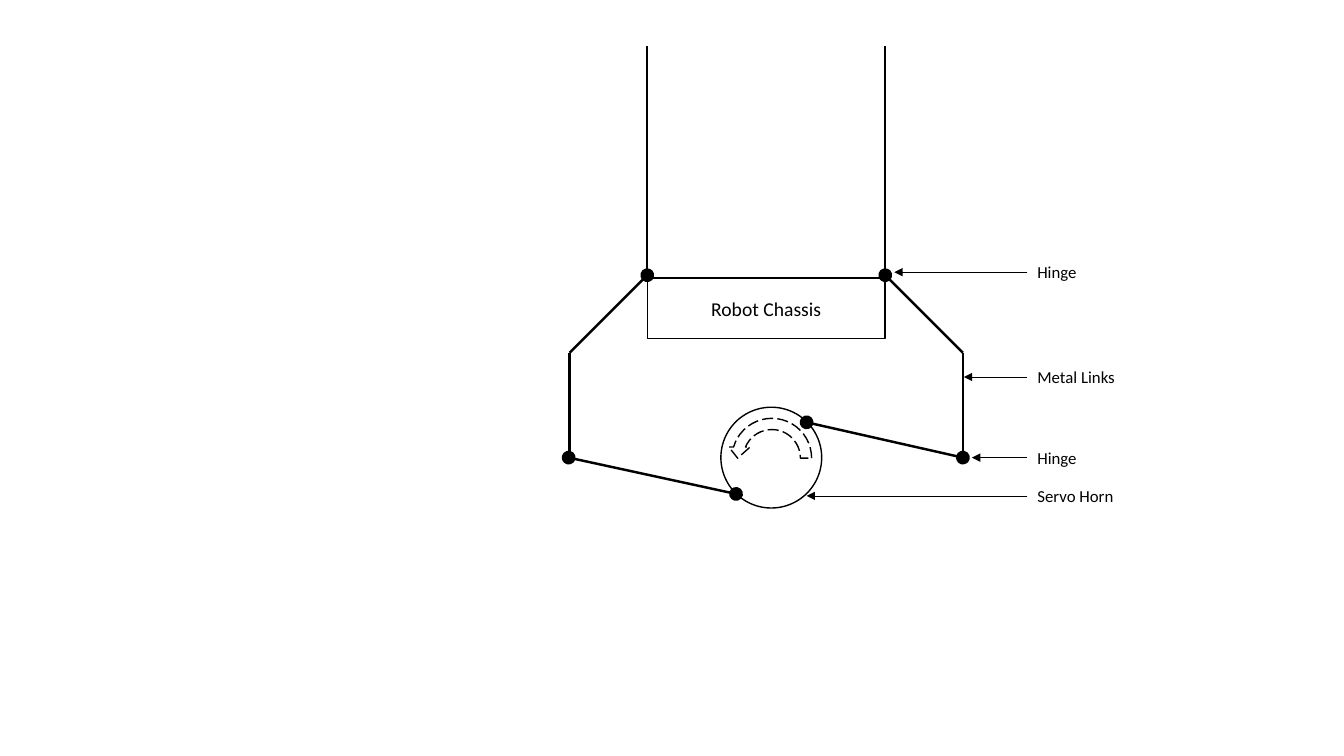
from pptx import Presentation
from pptx import util as u
from pptx.dml.color import RGBColor
from pptx.enum import dml, shapes, text
from pptx.oxml.ns import qn
from lxml import etree

PX = 9144
BLACK, WHITE = "000000", "FFFFFF"
CENTRE = 760
LABEL_X, LABEL_H = 1019, 30


def px(n):
    return u.Emu(n * PX)


def rgb(value):
    return RGBColor.from_string(value)


def write(sp, words, size=12, color=BLACK, align=text.PP_ALIGN.LEFT,
          anchor=text.MSO_ANCHOR.TOP):
    tf = sp.text_frame
    tf.word_wrap = True
    tf.vertical_anchor = anchor
    p = tf.paragraphs[0]
    p.alignment = align
    r = p.add_run()
    r.text = words
    r.font.size = u.Pt(size)
    r.font.name = "Calibri"
    r.font.color.rgb = rgb(color)


def add_part(s, kind, x, y, w, h):
    sp = s.shapes.add_shape(kind, px(x), px(y), px(w), px(h))
    sp.shadow.inherit = False
    sp.fill.solid()
    sp.fill.fore_color.rgb = rgb(WHITE)
    sp.line.color.rgb = rgb(BLACK)
    sp.line.width = u.Pt(1)
    return sp


def add_line(s, start, end, width=1.75, head=None, tail=None, size="lg"):
    line = s.shapes.add_connector(shapes.MSO_CONNECTOR.STRAIGHT,
                                  *map(px, start + end))
    line.line.color.rgb = rgb(BLACK)
    line.line.width = u.Pt(width)
    ln = line.line._get_or_add_ln()
    for tag, kind in (("a:headEnd", head), ("a:tailEnd", tail)):
        if kind:
            etree.SubElement(ln, qn(tag), type=kind, w=size, len=size)
    etree.SubElement(line._element.spPr, qn("a:effectLst"))
    return line


def add_linkage(s, side, rod_start, rod_end):
    elbow_x = CENTRE + side * 195
    hinge = (CENTRE + side * 118, 273)
    elbow = (elbow_x, 350)
    add_line(s, (elbow_x, 454), elbow)
    add_line(s, elbow, hinge, tail="oval")
    add_line(s, hinge, (hinge[0], 46))
    add_line(s, rod_start, rod_end, head="oval", tail="oval")


def add_rotation_arrow(s):
    arrow = add_part(s, shapes.MSO_SHAPE.CIRCULAR_ARROW, 721, 410, 89, 89)
    for i, value in enumerate((0.125, 11.423, 204.577, 108, 0.119)):
        arrow.adjustments[i] = value
    arrow.line.dash_style = dml.MSO_LINE.LONG_DASH
    arrow._element.spPr.find(qn("a:xfrm")).set("flipH", "1")


def add_callout(s, words, y, width, tip_x):
    label = s.shapes.add_textbox(px(LABEL_X), px(y - LABEL_H // 2),
                                 px(width), px(LABEL_H))
    write(label, words)
    label.text_frame.auto_size = text.MSO_AUTO_SIZE.SHAPE_TO_FIT_TEXT
    pointer = add_line(s, (LABEL_X, y), (tip_x, y), 0.5,
                       tail="triangle", size="med")
    pointer.begin_connect(label, 1)


def main():
    prs = Presentation()
    prs.slide_width, prs.slide_height = px(1333), px(750)
    s = prs.slides.add_slide(prs.slide_layouts[6])

    chassis = add_part(s, shapes.MSO_SHAPE.RECTANGLE, 642, 276, 236, 60)
    write(chassis, "Robot Chassis", size=14, align=text.PP_ALIGN.CENTER,
          anchor=text.MSO_ANCHOR.MIDDLE)
    add_part(s, shapes.MSO_SHAPE.OVAL, 715, 404, 100, 100)

    add_linkage(s, 1, (955, 454), (800, 419))
    add_linkage(s, -1, (564, 454), (730, 490))
    add_rotation_arrow(s)

    for callout in (("Hinge", 270, 77, 887),
                    ("Servo Horn", 492, 100, 800),
                    ("Metal Links", 374, 101, 956),
                    ("Hinge", 454, 75, 964)):
        add_callout(s, *callout)

    prs.save("out.pptx")


if __name__ == "__main__":
    main()
